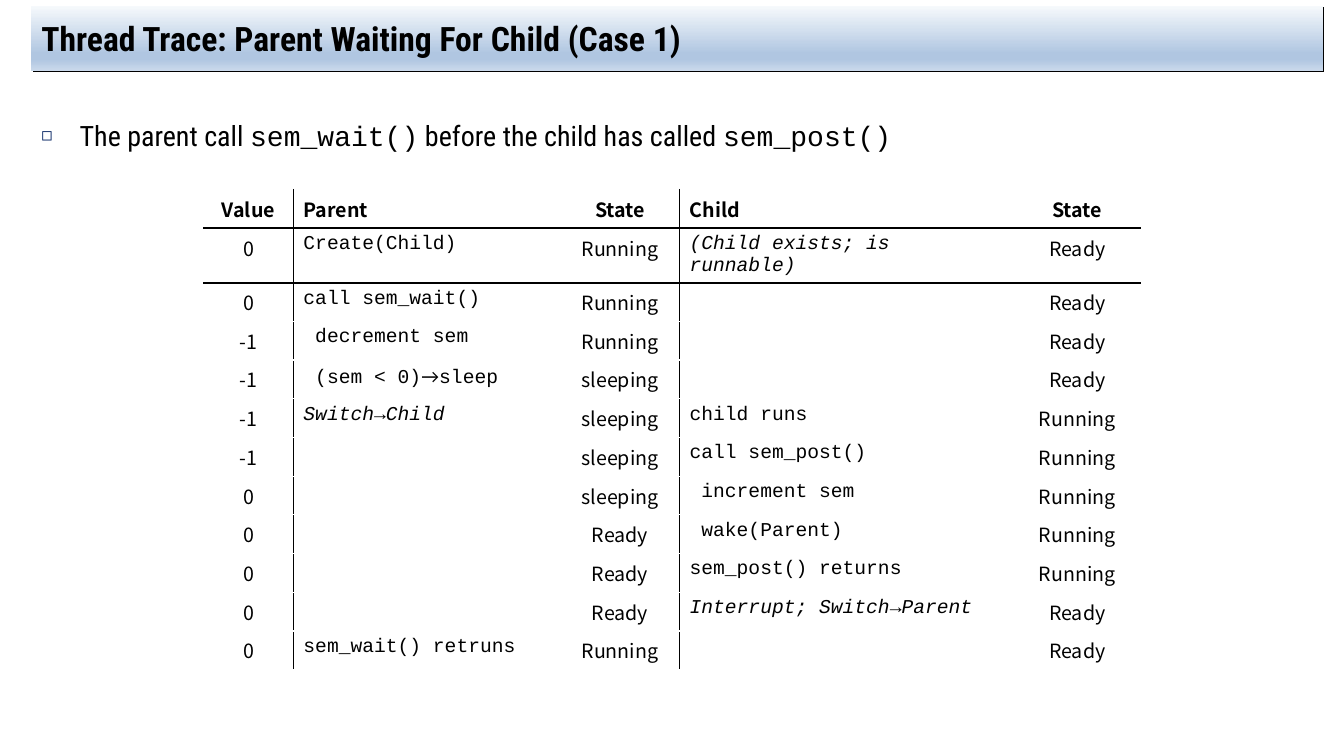
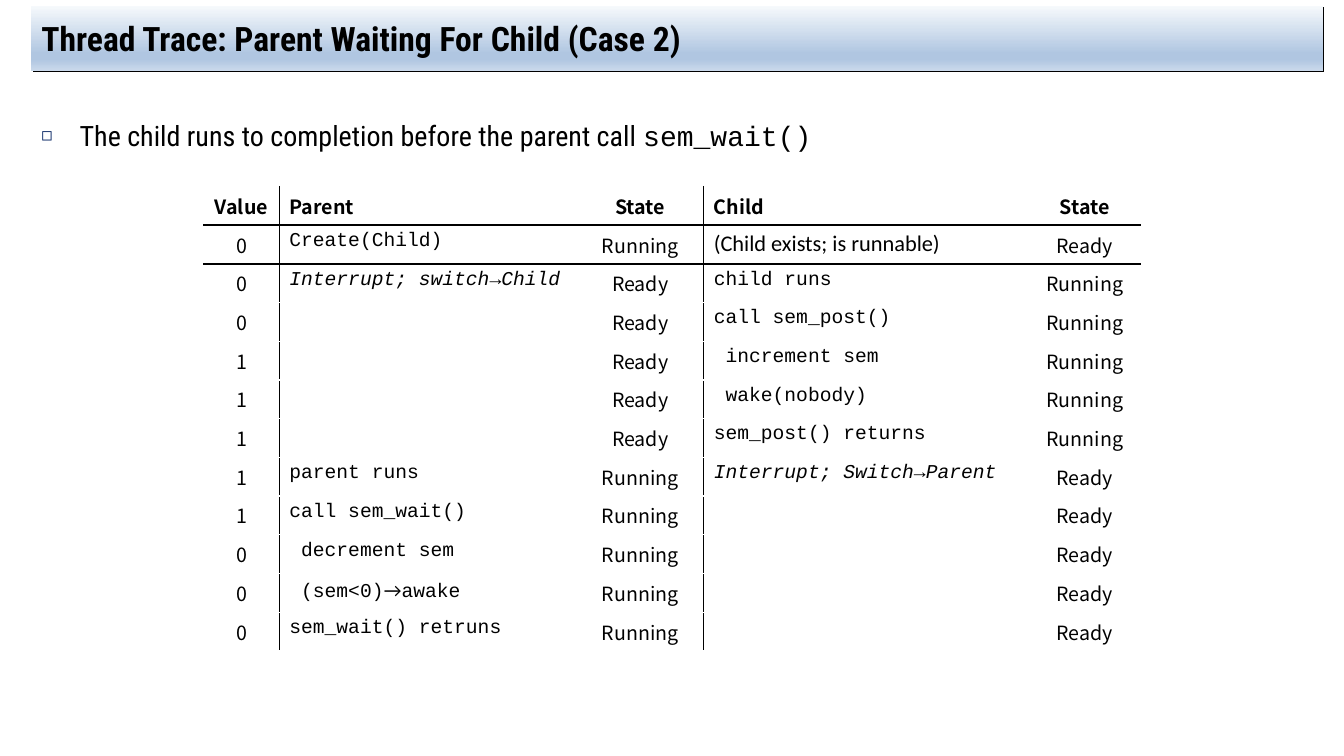
from dataclasses import dataclass
from typing import NamedTuple

from pptx import Presentation
from pptx import util as u
from pptx.dml.color import RGBColor
from pptx.enum import text
from pptx.oxml import parse_xml
from pptx.oxml.ns import nsdecls

# Shared look
PX = 9144  # 100 px to the inch
BLACK, WHITE, NAVY = "000000", "FFFFFF", "002060"
TITLE_STOPS = ((0, "F6F9FC"), (74, "B0C6E1"), (83, "B0C6E1"), (100, "CAD9EB"))
HEAD, CODE, SANS, PLAIN = "Roboto Condensed", "Courier New", "Noto Sans CJK KR", "Calibri"
TITLE_BOX = (31, 6, 1281, 64)
BODY_BOX = (31, 96, 1281, 602)
TABLE_LEFT, ROW_HEIGHT = 202, 38
CELL_SIZE = 14
CODE_COLUMNS = (1, 3)   # left-aligned, with a black rule on their left
RULED_ROWS = (0, 1)     # a black rule below


@dataclass(frozen=True)
class Run:
    text: str
    font: str
    size: int = CELL_SIZE
    bold: bool = False
    italic: bool = False


class Step(NamedTuple):
    value: str
    parent: list[Run]
    parent_state: str
    child: list[Run]
    child_state: str


@dataclass(frozen=True)
class Trace:
    title: str
    bullet: list[Run]
    top: int
    columns: tuple[int, ...]
    steps: list[Step]


def px(n: int) -> u.Emu:
    return u.Emu(n * PX)


def rgb(color: str) -> RGBColor:
    return RGBColor.from_string(color)


def a_xml(xml: str):
    """Build a DrawingML element; the first tag receives the namespace."""
    tag, rest = xml[1:].split(" ", 1)
    return parse_xml(f"<{tag} {nsdecls('a')} {rest}")


def solid(color: str) -> str:
    return f'<a:solidFill><a:srgbClr val="{color}"/></a:solidFill>'


# Run builders
def code(line: str) -> list[Run]:
    before, arrow, after = line.partition("→")
    parts = ((before, CODE), (arrow, PLAIN), (after, CODE))
    return [Run(part, font) for part, font in parts if part]


def note(line: str) -> list[Run]:
    return [Run(line, CODE, italic=True)]


def sentence(*parts: str) -> list[Run]:
    return [Run(part, CODE if part.endswith("()") else HEAD, 20) for part in parts]


def write(p, runs: list[Run]) -> None:
    for run in runs:
        r = p.add_run()
        r.text = run.text
        f = r.font
        f.name, f.size, f.bold, f.italic = run.font, u.Pt(run.size), run.bold, run.italic
        f.color.rgb = rgb(BLACK)


def place(sp, box: tuple[int, int, int, int]) -> None:
    sp.left, sp.top, sp.width, sp.height = map(px, box)


# Title band and bullet
def add_title(s, title: str) -> None:
    sp = s.shapes.title
    place(sp, TITLE_BOX)
    stops = "".join(f'<a:gs pos="{at * 1000}"><a:srgbClr val="{color}"/></a:gs>'
                    for at, color in TITLE_STOPS)
    sp._element.spPr.append(a_xml(
        f'<a:gradFill rotWithShape="1"><a:gsLst>{stops}</a:gsLst>'
        '<a:lin ang="5400000" scaled="0"/></a:gradFill>'))
    sp._element.spPr.append(a_xml(
        f'<a:effectLst ><a:outerShdw dist="{u.Pt(1.4)}" dir="2700000" algn="ctr" '
        f'rotWithShape="0"><a:srgbClr val="{BLACK}"/></a:outerShdw></a:effectLst>'))
    tf = sp.text_frame
    tf.auto_size = text.MSO_AUTO_SIZE.NONE
    tf.vertical_anchor = text.MSO_ANCHOR.MIDDLE
    p = tf.paragraphs[0]
    p.alignment = text.PP_ALIGN.LEFT
    write(p, [Run(title, HEAD, 24, bold=True)])


def add_bullet(s, runs: list[Run]) -> None:
    sp = s.placeholders[1]
    place(sp, BODY_BOX)
    tf = sp.text_frame
    tf.auto_size = text.MSO_AUTO_SIZE.NONE
    p = tf.paragraphs[0]
    p.line_spacing = 1.5
    pPr = p._p.get_or_add_pPr()
    pPr.set("marL", str(px(38)))
    pPr.set("indent", str(-px(38)))
    for xml in (f'<a:buClr ><a:srgbClr val="{NAVY}"/></a:buClr>',
                '<a:buSzPct val="65000"/>', '<a:buChar char="◻"/>'):
        pPr.append(a_xml(xml))
    write(p, runs)


# Trace table
def add_borders(cell, row: int, col: int) -> None:
    thin, thick = u.Pt(1), u.Pt(1.5)
    black_sides = {
        "L": (col in CODE_COLUMNS, thin),
        "R": (col + 1 in CODE_COLUMNS, thin),
        "T": (row - 1 in RULED_ROWS, thick),
        "B": (row in RULED_ROWS, thick),
    }
    tcPr = cell._tc.get_or_add_tcPr()
    for side, (is_black, width) in black_sides.items():
        color, w = (BLACK, width) if is_black else (WHITE, thin)
        tcPr.append(a_xml(f'<a:ln{side} w="{w}">{solid(color)}</a:ln{side}>'))


def fill_cell(cell, row: int, col: int, runs: list[Run]) -> None:
    add_borders(cell, row, col)
    cell.fill.background()
    p = cell.text_frame.paragraphs[0]
    if col not in CODE_COLUMNS:
        p.alignment = text.PP_ALIGN.CENTER
    write(p, runs)
    if not runs:  # keeps an empty cell from stretching its row
        p._p.append(a_xml(f'<a:endParaRPr sz="{CELL_SIZE * 100}"/>'))


def add_trace_table(s, trace: Trace) -> None:
    headings = [[Run(name, SANS, bold=True)]
                for name in ("Value", "Parent", "State", "Child", "State")]
    rows = [headings] + [
        [[Run(item, SANS)] if isinstance(item, str) else item for item in step]
        for step in trace.steps]
    frame = s.shapes.add_table(
        len(rows), len(trace.columns), px(TABLE_LEFT), px(trace.top),
        px(sum(trace.columns)), px(ROW_HEIGHT * len(rows)))
    table = frame.table
    table.first_row = table.horz_banding = False
    for column, width in zip(table.columns, trace.columns):
        column.width = px(width)
    for row, items in enumerate(rows):
        for col, runs in enumerate(items):
            fill_cell(table.cell(row, col), row, col, runs)


# Content
TRACES = [
    Trace(
        "Thread Trace: Parent Waiting For Child (Case 1)",
        sentence("The parent call ", "sem_wait()",
                 " before the child has called ", "sem_post()"),
        188, (89, 265, 118, 332, 125),
        [
            Step("0", code("Create(Child)"), "Running",
                 note("(Child exists; is runnable)"), "Ready"),
            Step("0", code("call sem_wait()"), "Running", [], "Ready"),
            Step("-1", code(" decrement sem"), "Running", [], "Ready"),
            Step("-1", code(" (sem < 0)→sleep"), "sleeping", [], "Ready"),
            Step("-1", note("Switch→Child"), "sleeping", code("child runs"), "Running"),
            Step("-1", [], "sleeping", code("call sem_post()"), "Running"),
            Step("0", [], "sleeping", code(" increment sem"), "Running"),
            Step("0", [], "Ready", code(" wake(Parent)"), "Running"),
            Step("0", [], "Ready", code("sem_post() returns"), "Running"),
            Step("0", [], "Ready", note("Interrupt; Switch→Parent"), "Ready"),
            Step("0", code("sem_wait() retruns"), "Running", [], "Ready"),
        ]),
    Trace(
        "Thread Trace: Parent Waiting For Child (Case 2)",
        sentence("The child runs to completion before the parent call ", "sem_wait()"),
        185, (75, 295, 126, 323, 110),
        [
            Step("0", code("Create(Child)"), "Running",
                 [Run("(Child exists; is runnable)", PLAIN, 16)], "Ready"),
            Step("0", note("Interrupt; switch→Child"), "Ready",
                 code("child runs"), "Running"),
            Step("0", [], "Ready", code("call sem_post()"), "Running"),
            Step("1", [], "Ready", code(" increment sem"), "Running"),
            Step("1", [], "Ready", code(" wake(nobody)"), "Running"),
            Step("1", [], "Ready", code("sem_post() returns"), "Running"),
            Step("1", code("parent runs"), "Running",
                 note("Interrupt; Switch→Parent"), "Ready"),
            Step("1", code("call sem_wait()"), "Running", [], "Ready"),
            Step("0", code(" decrement sem"), "Running", [], "Ready"),
            Step("0", code(" (sem<0)→awake"), "Running", [], "Ready"),
            Step("0", code("sem_wait() retruns"), "Running", [], "Ready"),
        ]),
]


def main() -> None:
    prs = Presentation()
    prs.slide_width, prs.slide_height = px(1333), px(750)
    for trace in TRACES:
        s = prs.slides.add_slide(prs.slide_layouts[1])
        add_title(s, trace.title)
        add_bullet(s, trace.bullet)
        add_trace_table(s, trace)
    prs.save("out.pptx")


if __name__ == "__main__":
    main()
